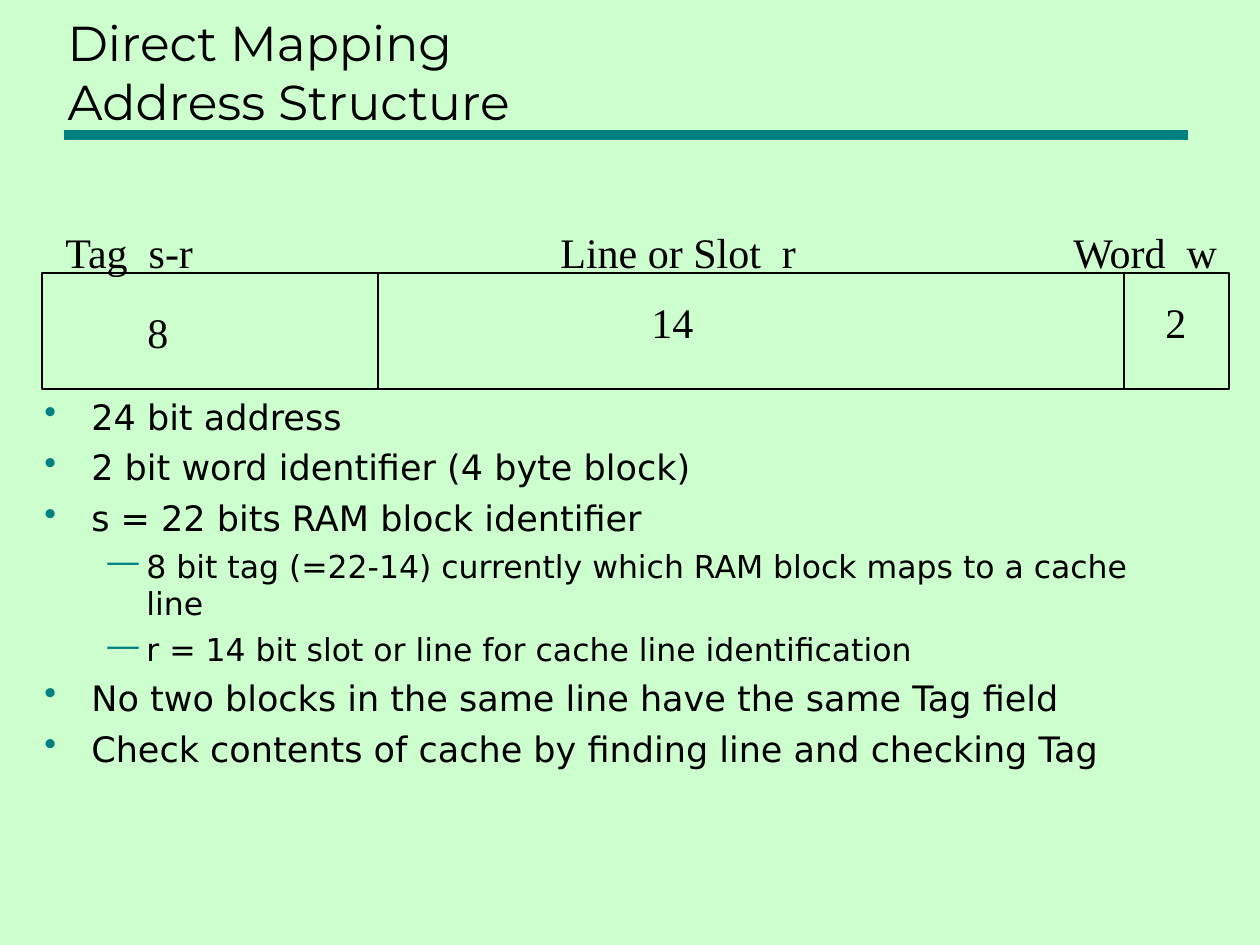
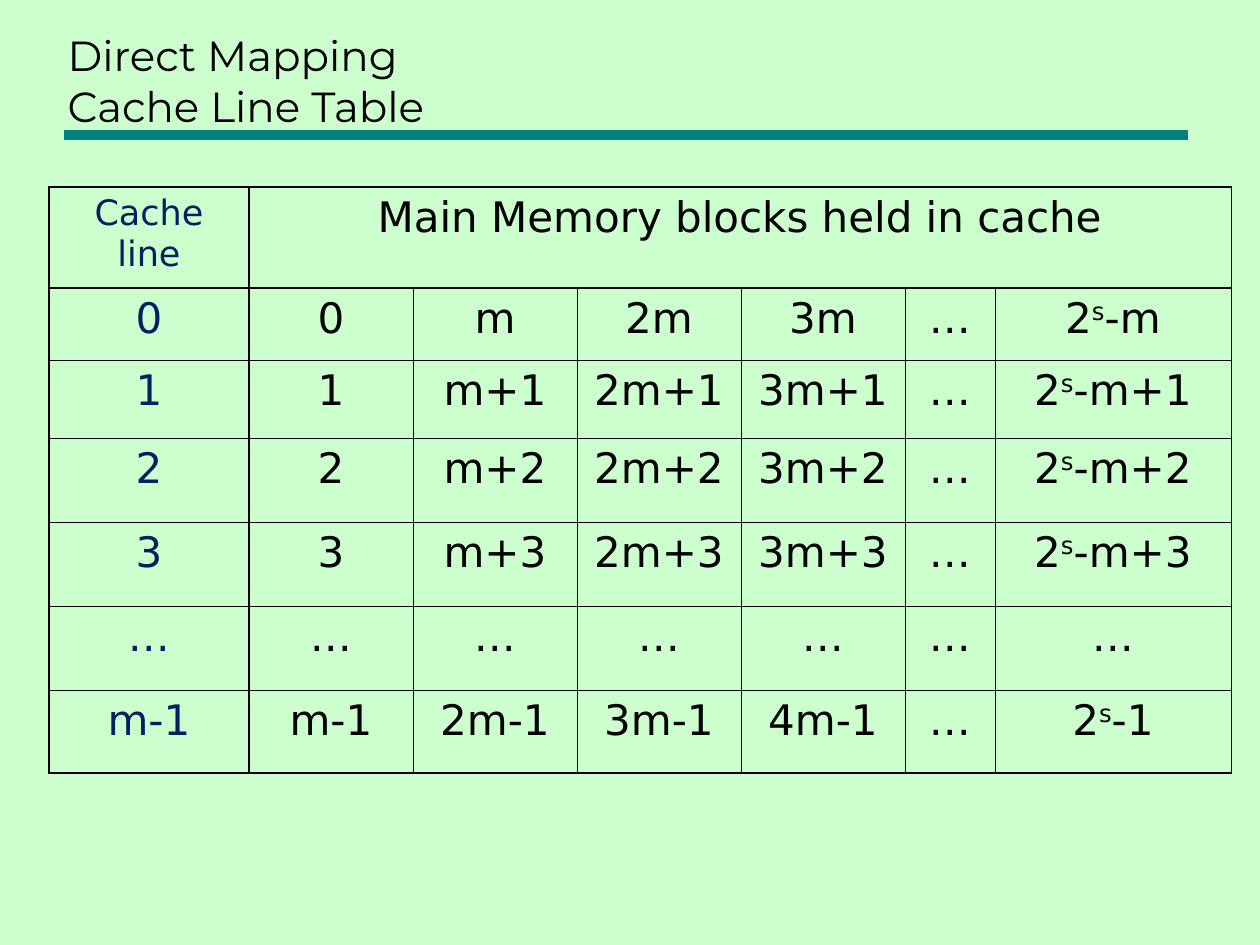
from lxml.etree import SubElement
from pptx import Presentation
from pptx.dml.color import RGBColor
from pptx.enum.shapes import MSO_CONNECTOR as Connector, MSO_SHAPE as Shape
from pptx.enum.text import MSO_ANCHOR as Anchor, MSO_AUTO_SIZE as AutoSize, PP_ALIGN as Align
from pptx.oxml.ns import qn
from pptx.util import Pt

SCALE = 914400 / 126
COLORS = {"background": "CDFFCE", "accent": "008080", "text": "000000", "index": "002060"}
TITLE_FONT, BODY_FONT, DIAGRAM_FONT = "Montserrat", "DejaVu Sans", "Times New Roman"

TITLE_BOX = (55, 21, 1130, 116)
TITLE_BAR = (64, 135, 1188, 135)

ADDRESS_TITLE = ("Direct Mapping\vAddress Structure", 28)
ADDRESS_BOX = (42, 273, 1187, 116)
ADDRESS_DIVIDERS = (378, 1124)
ADDRESS_TEXTS = [
    ("Tag  s-r", 53, 220, 155),
    ("Line or Slot  r", 548, 220, 261),
    ("Word  w", 1061, 220, 171),
    ("8", 135, 300, 45),
    ("14", 639, 290, 67),
    ("2", 1153, 290, 45),
]
BULLET_BOX = (32, 389, 1158, 446)
BULLETS = [
    (0, "24 bit address"),
    (0, "2 bit word identifier (4 byte block)"),
    (0, "s = 22 bits RAM block identifier"),
    (1, "8 bit tag (=22-14) currently which RAM block maps to a cache line"),
    (1, "r = 14 bit slot or line for cache line identification"),
    (0, "No two blocks in the same line have the same Tag field"),
    (0, "Check contents of cache by finding line and checking Tag"),
]
LEVELS = [
    {"mark": "•", "left": 47, "hang": 47, "size": 20, "before": 5},
    {"mark": "—", "left": 102, "hang": 39, "size": 18, "before": 4.5},
]

TABLE_TITLE = ("Direct Mapping\vCache Line Table", 24)
TABLE_ORIGIN = (49, 187)
SUPERSCRIPT_MARK = "^"
TABLE_ROWS = [
    ["Cache line", "Main Memory blocks held in cache", "", "", "", "", ""],
    ["0", "0", "m", "2m", "3m", "…", "2^s^-m"],
    *[[f"{n}", f"{n}", f"m+{n}", f"2m+{n}", f"3m+{n}", "…", f"2^s^-m+{n}"] for n in (1, 2, 3)],
    ["…"] * 7,
    ["m-1", "m-1", "2m-1", "3m-1", "4m-1", "…", "2^s^-1"],
]
COLUMN_WIDTHS = [200] + [164] * 4 + [90, 236]
ROW_HEIGHTS = [101, 72, 78, 84, 84, 84, 83]
THIN, OUTER, HEADER = 0.45, 1.08, 1.47
COLUMN_EDGES = [OUTER, HEADER] + [THIN] * 6
ROW_EDGES = [OUTER, HEADER] + [THIN] * 5 + [OUTER]


def px(value):
    return round(value * SCALE)


def color(name):
    return RGBColor.from_string(COLORS[name])


def style(paragraph, font_name, size, color_name="text"):
    for run in paragraph.runs:
        run.font.name = font_name
        run.font.size = Pt(size)
        run.font.color.rgb = color(color_name)


def add_line(slide, ends, color_name, width):
    line = slide.shapes.add_connector(Connector.STRAIGHT, *map(px, ends))
    line.line.color.rgb = color(color_name)
    line.line.width = Pt(width)
    SubElement(line._element.spPr, qn("a:effectLst"))


def add_titled_slide(presentation, text, size):
    slide = presentation.slides.add_slide(presentation.slide_layouts[5])
    add_line(slide, TITLE_BAR, "accent", 6)
    title = slide.shapes.title
    title.left, title.top, title.width, title.height = map(px, TITLE_BOX)
    frame = title.text_frame
    frame.text = text
    frame.auto_size = AutoSize.NONE
    frame.vertical_anchor = Anchor.BOTTOM
    frame.paragraphs[0].alignment = Align.LEFT
    style(frame.paragraphs[0], TITLE_FONT, size)
    return slide


def add_address_diagram(slide):
    left, top, width, height = ADDRESS_BOX
    box = slide.shapes.add_shape(Shape.RECTANGLE, *map(px, ADDRESS_BOX))
    box.shadow.inherit = False
    box.fill.background()
    box.line.color.rgb = color("text")
    box.line.width = Pt(0.75)
    for x in ADDRESS_DIVIDERS:
        add_line(slide, (x, top, x, top + height), "text", 0.75)
    for text, x, y, text_width in ADDRESS_TEXTS:
        frame = slide.shapes.add_textbox(px(x), px(y), px(text_width), px(63)).text_frame
        frame.text = text
        frame.word_wrap = False
        frame.auto_size = AutoSize.SHAPE_TO_FIT_TEXT
        style(frame.paragraphs[0], DIAGRAM_FONT, 24)


def add_bullets(slide):
    frame = slide.shapes.add_textbox(*map(px, BULLET_BOX)).text_frame
    frame.word_wrap = True
    frame.text = "\n".join(text for _, text in BULLETS)
    for position, (paragraph, (depth, _)) in enumerate(zip(frame.paragraphs, BULLETS)):
        level = LEVELS[depth]
        paragraph.level = depth
        properties = paragraph._p.get_or_add_pPr()
        properties.set("marL", str(px(level["left"])))
        properties.set("indent", str(-px(level["hang"])))
        bullet_color = SubElement(properties, qn("a:buClr"))
        SubElement(bullet_color, qn("a:srgbClr"), val=COLORS["accent"])
        SubElement(properties, qn("a:buChar"), char=level["mark"])
        if position:
            paragraph.space_before = Pt(level["before"])
        style(paragraph, BODY_FONT, level["size"])


def set_borders(cell, widths):
    properties = cell._tc.get_or_add_tcPr()
    for side, width in zip("LRTB", widths):
        line = SubElement(properties, qn(f"a:ln{side}"), w=str(Pt(width)))
        fill = SubElement(line, qn("a:solidFill"))
        SubElement(fill, qn("a:srgbClr"), val=COLORS["text"])


def fill_cell(cell, text, size, color_name):
    paragraph = cell.text_frame.paragraphs[0]
    paragraph.alignment = Align.CENTER
    for position, part in enumerate(text.split(SUPERSCRIPT_MARK)):
        run = paragraph.add_run()
        run.text = part
        if position % 2:
            run._r.get_or_add_rPr().set("baseline", "30000")
    style(paragraph, BODY_FONT, size, color_name)


def add_cache_table(slide):
    extent = (sum(COLUMN_WIDTHS), sum(ROW_HEIGHTS))
    table = slide.shapes.add_table(
        len(ROW_HEIGHTS), len(COLUMN_WIDTHS), *map(px, TABLE_ORIGIN + extent)
    ).table
    table.first_row = table.horz_banding = False
    for column, width in zip(table.columns, COLUMN_WIDTHS):
        column.width = px(width)
    for row, height in zip(table.rows, ROW_HEIGHTS):
        row.height = px(height)
    table.cell(0, 1).merge(table.cell(0, len(COLUMN_WIDTHS) - 1))
    for r, texts in enumerate(TABLE_ROWS):
        for c, text in enumerate(texts):
            cell = table.cell(r, c)
            set_borders(cell, COLUMN_EDGES[c:c + 2] + ROW_EDGES[r:r + 2])
            cell.fill.background()
            if not cell.is_spanned:
                size = 20 if r == c == 0 else 24
                fill_cell(cell, text, size, "text" if c else "index")


def main():
    presentation = Presentation()
    presentation.slide_width, presentation.slide_height = px(1260), px(945)
    background = presentation.slide_master.background.fill
    background.solid()
    background.fore_color.rgb = color("background")

    address_slide = add_titled_slide(presentation, *ADDRESS_TITLE)
    add_address_diagram(address_slide)
    add_bullets(address_slide)

    table_slide = add_titled_slide(presentation, *TABLE_TITLE)
    add_cache_table(table_slide)
    presentation.save("out.pptx")


if __name__ == "__main__":
    main()
